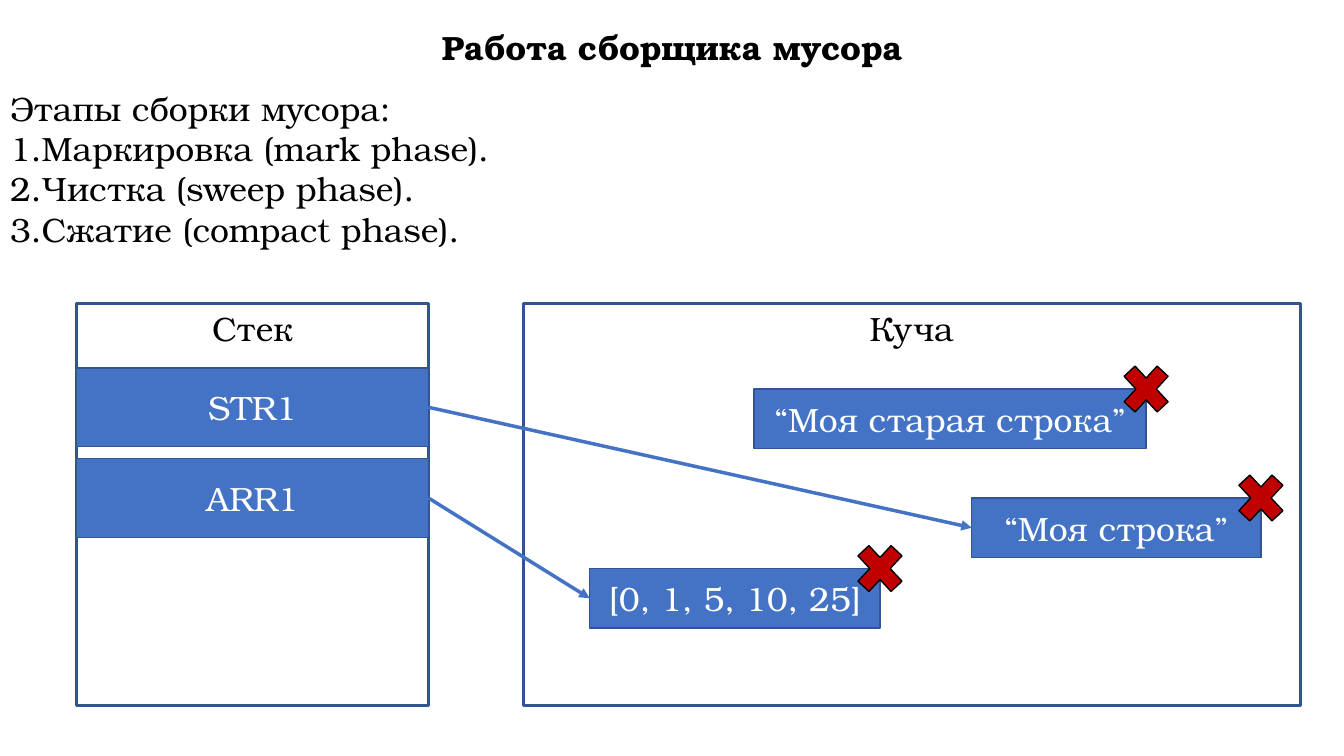
from lxml import etree
from pptx import Presentation
from pptx.dml.color import RGBColor
from pptx.enum.shapes import MSO_CONNECTOR, MSO_SHAPE
from pptx.enum.text import MSO_ANCHOR, MSO_AUTO_SIZE, PP_ALIGN
from pptx.oxml.ns import qn
from pptx.util import Pt

RECT, CROSS = MSO_SHAPE.RECTANGLE, MSO_SHAPE.MATH_MULTIPLY
STRAIGHT = MSO_CONNECTOR.STRAIGHT
TOP, MIDDLE = MSO_ANCHOR.TOP, MSO_ANCHOR.MIDDLE
LEFT, CENTER = PP_ALIGN.LEFT, PP_ALIGN.CENTER
NO_FIT = MSO_AUTO_SIZE.NONE
FONT = "TeX Gyre Bonum"
BLUE, DARK_BLUE, RED = "4472C4", "325491", "C00000"
BLACK, WHITE = "000000", "FFFFFF"

prs = Presentation()
prs.slide_width, prs.slide_height = Pt(960), Pt(540)
s = prs.slides.add_slide(prs.slide_layouts[1])


def write(sp, *lines, color=BLACK, bold=False, align=CENTER, anchor=MIDDLE):
    tf = sp.text_frame
    tf.word_wrap = True
    tf.auto_size = NO_FIT
    tf.vertical_anchor = anchor
    tf.text = "\n".join(lines)
    for p in tf.paragraphs:
        p.alignment = align
        p.space_before = Pt(0)
        p.line_spacing = 1.0
        font = p.runs[0].font
        font.name, font.size, font.bold = FONT, Pt(24), bold
        font.color.rgb = RGBColor.from_string(color)


def add_box(kind, x, y, w, h, fill, line, line_width):
    sp = s.shapes.add_shape(kind, Pt(x), Pt(y), Pt(w), Pt(h))
    sp.shadow.inherit = False
    sp.fill.solid()
    sp.fill.fore_color.rgb = RGBColor.from_string(fill)
    sp.line.color.rgb = RGBColor.from_string(line)
    sp.line.width = Pt(line_width)
    return sp


title, body = s.placeholders
for sp, y, h in [(title, 15.6, 36), (body, 59, 122)]:
    sp.left, sp.top, sp.width, sp.height = Pt(0), Pt(y), Pt(960), Pt(h)
write(title, "Работа сборщика мусора", bold=True)
write(body, "Этапы сборки мусора:", "Маркировка (mark phase).",
      "Чистка (sweep phase).", "Сжатие (compact phase).",
      align=LEFT, anchor=TOP)
for i, p in enumerate(body.text_frame.paragraphs):
    pPr = p._p.get_or_add_pPr()
    pPr.set("marL", "0")
    pPr.set("indent", "0")
    if i == 0:
        etree.SubElement(pPr, qn("a:buNone"))
    else:
        etree.SubElement(pPr, qn("a:buAutoNum"), type="arabicPeriod")

for name, x, w in [("Стек", 54.7, 251.3), ("Куча", 373.7, 555.1)]:
    area = add_box(RECT, x, 216.7, w, 287.3, WHITE, DARK_BLUE, 2.25)
    write(area, name, anchor=TOP)

variables = []
for name, y in [("STR1", 262.8), ("ARR1", 327.6)]:
    sp = add_box(RECT, 54.7, y, 251.3, 56.2, BLUE, DARK_BLUE, 1)
    write(sp, name, color=WHITE)
    variables.append(sp)

objects = []
cross_w, cross_h = 45.4, 49
heap = [("“Моя старая строка”", 538.6, 277.9, 280.1),
        ("“Моя строка”", 694.1, 355.7, 206.6),
        ("[0, 1, 5, 10, 25]", 421.2, 406.1, 207.4)]
for value, x, y, w in heap:
    sp = add_box(RECT, x, y, w, 42.5, BLUE, DARK_BLUE, 1)
    write(sp, value, color=WHITE)
    objects.append(sp)

for variable, target in zip(variables, objects[1:]):
    arrow = s.shapes.add_connector(STRAIGHT, 0, 0, 0, 0)
    arrow.begin_connect(variable, 3)
    arrow.end_connect(target, 1)
    arrow.line.color.rgb = RGBColor.from_string(BLUE)
    arrow.line.width = Pt(2.5)
    etree.SubElement(arrow.line._get_or_add_ln(), qn("a:tailEnd"), type="triangle")
    etree.SubElement(arrow._element.spPr, qn("a:effectLst"))

for value, x, y, w in heap:
    add_box(CROSS, x + w - cross_w / 2, y - cross_h / 2, cross_w, cross_h,
            RED, BLACK, 1)

prs.save("out.pptx")
